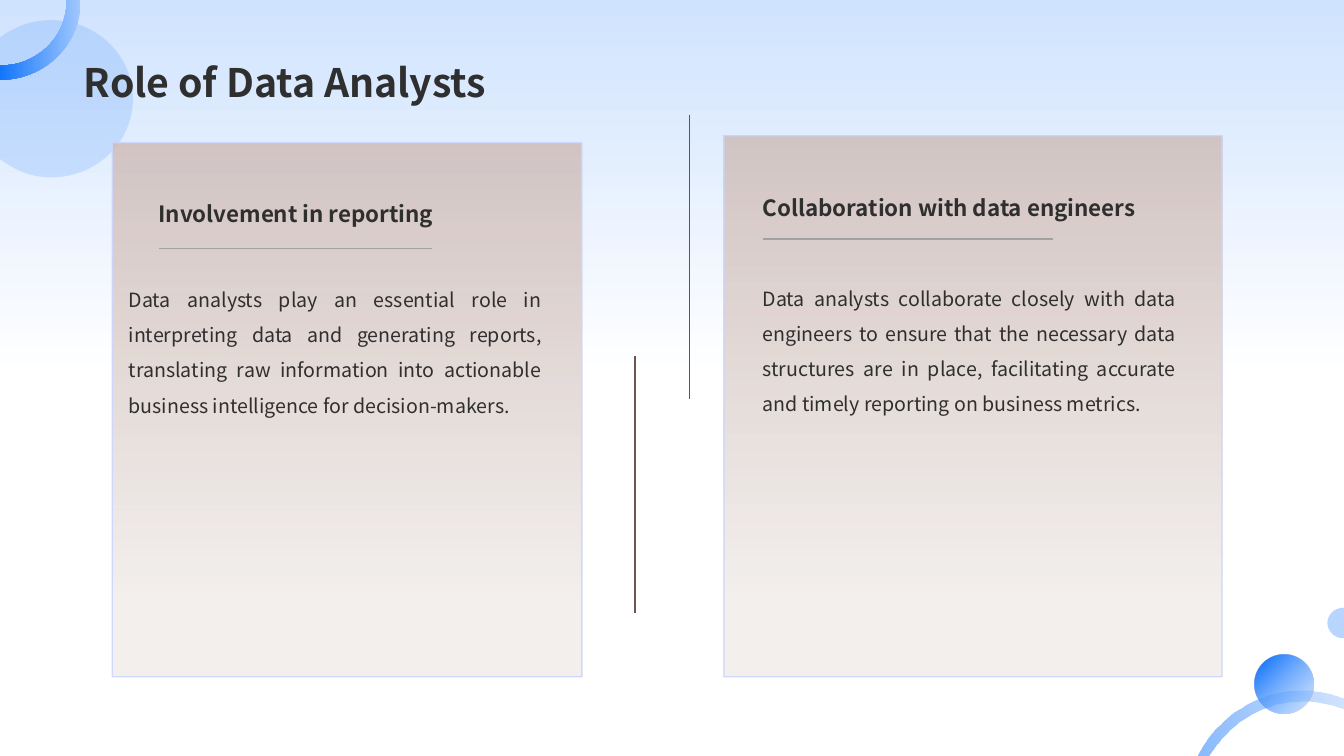
from dataclasses import dataclass

from lxml.etree import SubElement
from pptx import Presentation
from pptx.dml.color import RGBColor
from pptx.enum.shapes import MSO_CONNECTOR, MSO_SHAPE
from pptx.enum.text import MSO_ANCHOR, PP_ALIGN
from pptx.oxml.ns import qn
from pptx.util import Pt

DISC = [(36.7, 14.4), (69.1, 14.4, 95, 39.6, 95, 70.6),
        (95, 101.5, 69.1, 126.7, 36.7, 126.7), (24.5, 126.7, 13.7, 123.1, 4.3, 116.6),
        (0, 113.8), (0, 26.6), (4.3, 23.8), (13.7, 18, 24.5, 14.4, 36.7, 14.4)]
TOP_RING = [(47.5, 0), (57.6, 0), (57.6, 5.8), (54.7, 34.6, 30.2, 56.9, 0.7, 56.9),
            (0, 56.9), (0, 46.8), (0.7, 46.8), (25.2, 46.8, 45.4, 28.8, 47.5, 4.3)]
BOTTOM_RING = [(930.2, 493.2), (939.6, 493.2, 947.5, 494.6, 955.4, 497.5), (960, 499),
               (960, 506.9), (953.3, 504.7), (946.1, 502.6, 938.2, 501.1, 930.2, 501.1),
               (903.6, 501.1, 880.6, 514.8, 866.9, 535), (863.3, 540), (855.4, 540),
               (856.1, 537.8), (870.5, 511.2, 898.6, 493.2, 930.2, 493.2)]
EDGE_DOT = [(959, 434.2), (960, 434.2), (960, 455.8), (959, 455.8),
            (953.3, 455.8, 948.2, 450.7, 948.2, 445), (948.2, 439.2, 953.3, 434.2, 959, 434.2)]


@dataclass(frozen=True)
class Theme:
    """Colours, font and type sizes of the deck."""
    font: str = "Noto Sans CJK SC"
    ink: str = "2F2F2F"
    blue: str = "1375FC"
    light_blue: str = "A1C8FE"
    sky: str = "D0E3FE"
    white: str = "FFFFFF"
    panel_top: str = "CDBAB5"
    panel_bottom: str = "F2EEEC"
    panel_edge: str = "CCD6FE"
    rule: str = "A2A2A2"
    brown_divider: str = "6B5650"
    gray_divider: str = "5A5656"
    title_size: int = 28
    heading_size: int = 16
    body_size: int = 14


class SlidePainter:
    """Draws styled elements on the current slide."""

    def __init__(self, slide, theme):
        self.slide = slide
        self.theme = theme

    def gradient(self, fill, colours, angle, positions=(0, 1)):
        """Apply a two-colour gradient."""
        fill.gradient()
        fill.gradient_angle = angle
        for stop, colour, position in zip(fill.gradient_stops, colours, positions):
            stop.color.rgb = RGBColor.from_string(colour)
            stop.position = position

    def finish(self, shape, colours, alphas, angle=0, positions=(0, 1), edge=None):
        """Fill a shape with one or two colours and set opacity in percent."""
        shape.shadow.inherit = False
        if len(colours) == 1:
            shape.fill.solid()
            shape.fill.fore_color.rgb = RGBColor.from_string(colours[0])
        else:
            self.gradient(shape.fill, colours, angle, positions)
        if edge:
            shape.line.color.rgb = RGBColor.from_string(edge)
            shape.line.width = Pt(1)
        else:
            shape.line.fill.background()
        for colour, alpha in zip(shape.element.iter(qn("a:srgbClr")), alphas):
            SubElement(colour, qn("a:alpha")).set("val", str(alpha * 1000))

    def outline(self, segments, colours, alphas, angle=0):
        """Draw a closed outline; six-number segments are Bézier curves."""
        start, *others = segments
        points = [(Pt(s[i]), Pt(s[i + 1])) for s in others for i in range(0, len(s), 2)]
        builder = self.slide.shapes.build_freeform(Pt(start[0]), Pt(start[1]))
        builder.add_line_segments(points, close=True)
        shape = builder.convert_to_shape()
        steps = iter(list(shape.element.iter(qn("a:lnTo"))))
        for segment in others:
            step = next(steps)
            if len(segment) == 6:
                step.tag = qn("a:cubicBezTo")
                for follower in (next(steps), next(steps)):
                    step.append(follower[0])
                    follower.getparent().remove(follower)
        self.finish(shape, colours, alphas, angle)

    def preset(self, kind, box, *style, **options):
        """Draw a preset shape."""
        shape = self.slide.shapes.add_shape(kind, *map(Pt, box))
        self.finish(shape, *style, **options)

    def line(self, x1, y1, x2, y2, colour, width=1):
        """Draw a straight line."""
        connector = self.slide.shapes.add_connector(
            MSO_CONNECTOR.STRAIGHT, Pt(x1), Pt(y1), Pt(x2), Pt(y2))
        connector.line.color.rgb = RGBColor.from_string(colour)
        connector.line.width = Pt(width)
        SubElement(connector.element.spPr, qn("a:effectLst"))

    def text(self, box, words, size, bold=False, spacing=1.0,
             align=PP_ALIGN.LEFT, anchor=MSO_ANCHOR.TOP, insets=(0, 0)):
        """Write one paragraph in a wrapping box."""
        frame = self.slide.shapes.add_textbox(*map(Pt, box)).text_frame
        frame.word_wrap = True
        frame.vertical_anchor = anchor
        frame.margin_left = frame.margin_right = Pt(insets[0])
        frame.margin_top = frame.margin_bottom = Pt(insets[1])
        paragraph = frame.paragraphs[0]
        paragraph.text = words
        paragraph.alignment = align
        paragraph.line_spacing = spacing
        paragraph.font.name = self.theme.font
        paragraph.font.size = Pt(size)
        paragraph.font.bold = bold
        paragraph.font.color.rgb = RGBColor.from_string(self.theme.ink)

    def backdrop(self):
        """Draw the sky gradient and the corner circles."""
        theme = self.theme
        blues = (theme.light_blue, theme.blue)
        self.gradient(self.slide.background.fill, (theme.sky, theme.white), 270, (0, 0.5))
        self.outline(DISC, (theme.blue,), (15,))
        self.outline(TOP_RING, blues, (100, 100), 180)
        self.outline(BOTTOM_RING, blues, (49, 50), 180)
        self.outline(EDGE_DOT, (theme.blue,), (30,))
        self.preset(MSO_SHAPE.OVAL, (896, 467.6, 42, 42), blues, (50, 100),
                    angle=135, positions=(0.01, 0.91))

    def panel(self, box, heading, heading_box, rule, body, body_box):
        """Draw a panel with its heading, rule and body text."""
        theme = self.theme
        self.preset(MSO_SHAPE.RECTANGLE, box, (theme.panel_top, theme.panel_bottom),
                    (80, 90, 90), angle=270, positions=(0, 0.85), edge=theme.panel_edge)
        self.text(heading_box, heading, theme.heading_size, bold=True)
        left, right, y = rule
        self.line(left, y, right, y, theme.rule)
        self.text(body_box, body, theme.body_size, spacing=1.5, align=PP_ALIGN.JUSTIFY)


def main():
    """Build the slide and save it."""
    deck = Presentation()
    deck.slide_width, deck.slide_height = Pt(960), Pt(540)
    theme = Theme()
    painter = SlidePainter(deck.slides.add_slide(deck.slide_layouts[6]), theme)
    painter.backdrop()
    painter.text((52.8, -1.4, 854.6, 80.6), "Role of Data Analysts", theme.title_size,
                 bold=True, spacing=0.9, anchor=MSO_ANCHOR.BOTTOM, insets=(7.2, 3.6))
    painter.panel(
        (80.2, 102, 335.5, 381.4),
        "Involvement in reporting", (113.2, 143, 257.8, 19.4), (113.3, 308.9, 177.5),
        "Data analysts play an essential role in interpreting data and generating "
        "reports, translating raw information into actionable business intelligence "
        "for decision-makers.", (91.9, 197, 295.2, 149.8))
    painter.panel(
        (517.2, 97, 355.7, 386.4),
        "Collaboration with data engineers", (544.7, 138.6, 310.3, 19.4), (545, 752.4, 170.6),
        "Data analysts collaborate closely with data engineers to ensure that the "
        "necessary data structures are in place, facilitating accurate and timely "
        "reporting on business metrics.", (544.7, 196.3, 295.2, 175))
    painter.line(453.6, 254.2, 453.6, 437.8, theme.brown_divider, 1.5)
    painter.line(492.5, 82.1, 492.5, 285.1, theme.gray_divider)
    deck.save("out.pptx")


if __name__ == "__main__":
    main()
